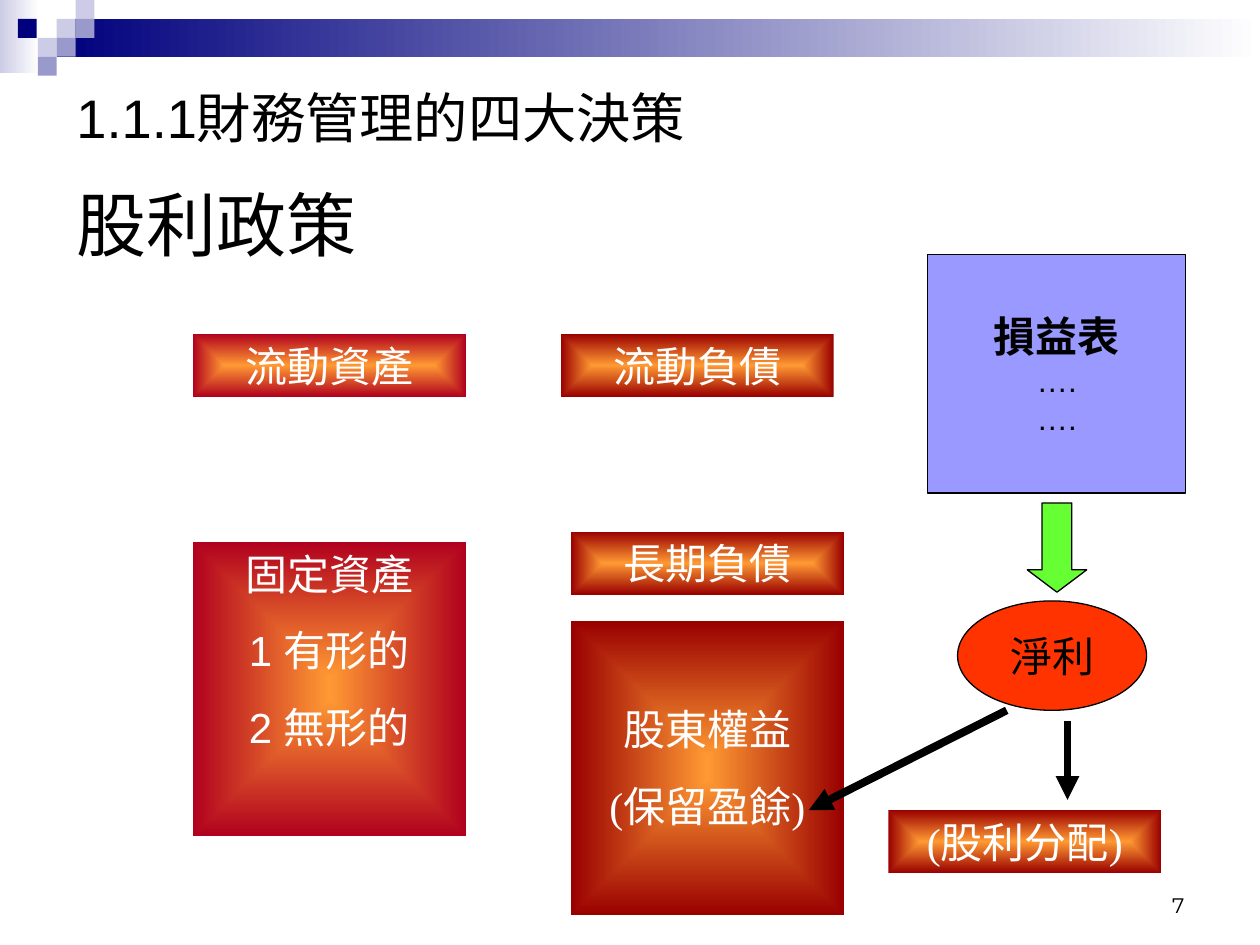
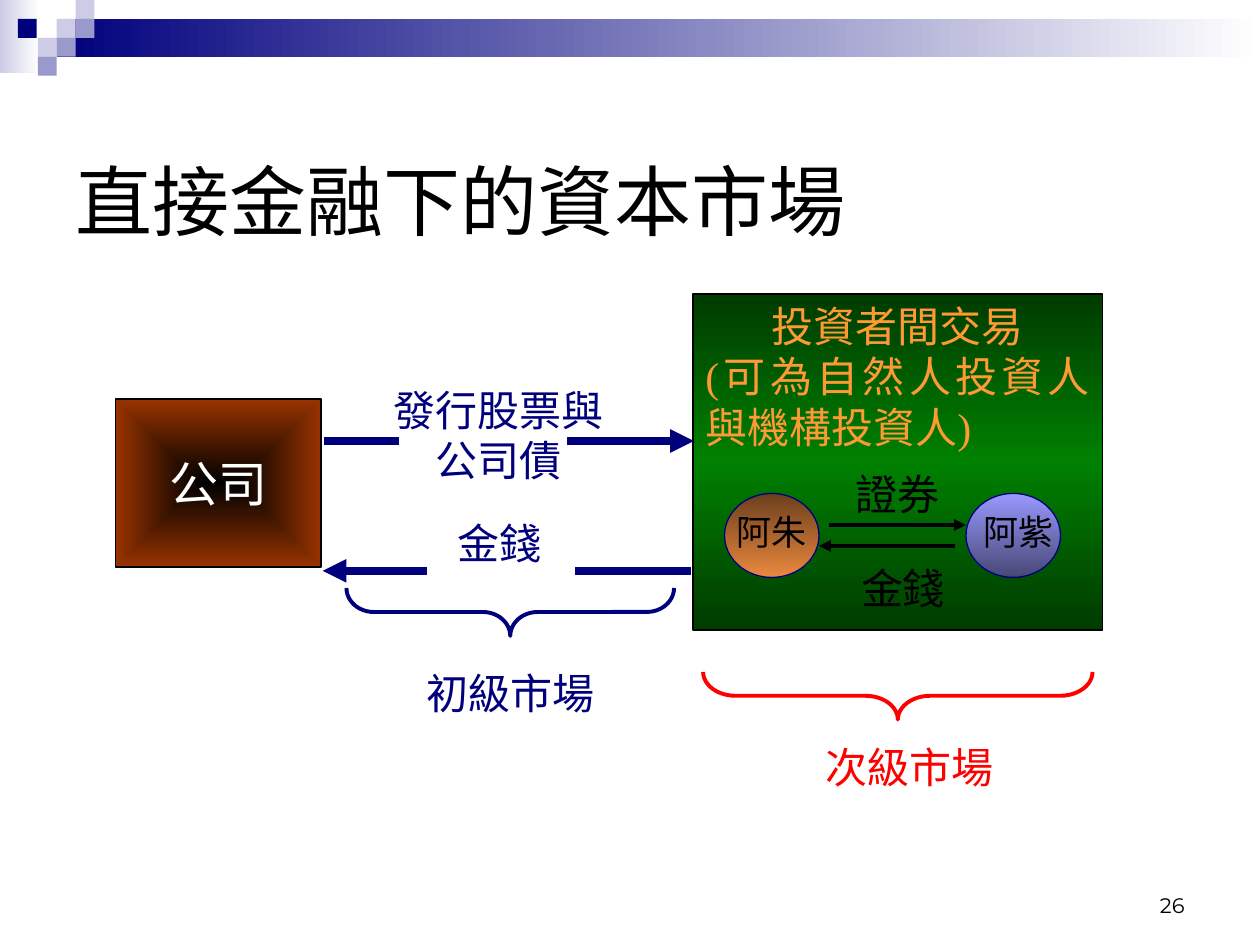
from lxml.etree import SubElement
from pptx import Presentation
from pptx.dml.color import RGBColor
from pptx.enum.shapes import MSO_CONNECTOR, MSO_SHAPE as Preset
from pptx.enum.text import MSO_ANCHOR as Anchor, MSO_AUTO_SIZE, PP_ALIGN as Align
from pptx.oxml.ns import qn
from pptx.util import Pt

BLACK = RGBColor(0x00, 0x00, 0x00)
WHITE = RGBColor(0xFF, 0xFF, 0xFF)
NAVY = RGBColor(0x00, 0x00, 0x7D)
LAVENDER = RGBColor(0xCC, 0xCC, 0xE6)
MID_LAVENDER = RGBColor(0x99, 0x99, 0xCC)
PERIWINKLE = RGBColor(0x99, 0x99, 0xFF)
DARK_PERIWINKLE = RGBColor(0x47, 0x47, 0x76)
ORANGE = RGBColor(0xFF, 0x99, 0x33)
CRIMSON = RGBColor(0xB1, 0x01, 0x1E)
DARK_RED = RGBColor(0x99, 0x00, 0x00)
RUST = RGBColor(0x99, 0x33, 0x00)
LIME = RGBColor(0x66, 0xFF, 0x33)
VERMILION = RGBColor(0xFF, 0x33, 0x00)
RED = RGBColor(0xFF, 0x00, 0x00)
GREEN = RGBColor(0x00, 0x80, 0x00)
DARK_GREEN = RGBColor(0x00, 0x3B, 0x00)
BROWN = RGBColor(0x6C, 0x3F, 0x1D)
TAN = RGBColor(0xEA, 0x88, 0x3E)

SANS, SERIF, NUMBER_FONT = "Arial", "Times New Roman", "Montserrat"


# Shared drawing helpers
def fill_gradient(shape, colors, angle=None):
    """Evenly spaced stops; without an angle they run from the centre outwards."""
    shape.fill.solid()
    properties = shape.element.spPr
    gradient = SubElement(properties, qn("a:gradFill"), rotWithShape="1")
    properties.replace(properties.find(qn("a:solidFill")), gradient)
    stops = SubElement(gradient, qn("a:gsLst"))
    for i, color in enumerate(colors):
        stop = SubElement(stops, qn("a:gs"), pos=str(100000 * i // (len(colors) - 1)))
        SubElement(stop, qn("a:srgbClr"), val=str(color))
    if angle is None:
        centre = SubElement(gradient, qn("a:path"), path="rect")
        SubElement(centre, qn("a:fillToRect"), l="50000", t="50000", r="50000", b="50000")
    else:
        SubElement(gradient, qn("a:lin"), ang=str(angle * 60000), scaled="0")


def add_preset(slide, preset, box, fill=None, angle=None, line=None, width=0.75):
    shape = slide.shapes.add_shape(preset, *map(Pt, box))
    shape.shadow.inherit = False
    if fill is None:
        shape.fill.background()
    elif isinstance(fill, RGBColor):
        shape.fill.solid()
        shape.fill.fore_color.rgb = fill
    else:
        fill_gradient(shape, fill, angle)
    if line is None:
        shape.line.fill.background()
    else:
        shape.line.color.rgb = line
        shape.line.width = Pt(width)
    return shape


def write(shape, lines, size=24, font=SERIF, color=BLACK, align=Align.CENTER,
          anchor=Anchor.TOP, before=0, wrap=True):
    frame = shape.text_frame
    frame.word_wrap = wrap
    frame.auto_size = MSO_AUTO_SIZE.NONE
    frame.vertical_anchor = anchor
    for i, line in enumerate(lines):
        paragraph = frame.add_paragraph() if i else frame.paragraphs[0]
        paragraph.alignment = align
        paragraph.space_before = Pt(before)
        run = paragraph.add_run()
        run.text = line
        run.font.size = Pt(size)
        run.font.name = font
        run.font.color.rgb = color
    return frame


def add_label(slide, box, text, **style):
    return write(slide.shapes.add_textbox(*map(Pt, box)), [text], **style)


def add_line(slide, start, end, color=BLACK, width=4.5, arrow=True):
    line = slide.shapes.add_connector(MSO_CONNECTOR.STRAIGHT, *map(Pt, start + end))
    line.line.color.rgb = color
    line.line.width = Pt(width)
    properties = line.element.spPr
    if arrow:
        SubElement(properties.find(qn("a:ln")), qn("a:tailEnd"), type="triangle")
    SubElement(properties, qn("a:effectLst"))


def add_brace_below(slide, box, color, curve):
    """A brace that lies along the box and points down."""
    left, top, width, height = box
    shift = (width - height) / 2
    brace = add_preset(slide, Preset.LEFT_BRACE,
                       (left + shift, top - shift, height, width), line=color, width=2.25)
    brace.adjustments[0] = curve
    brace.rotation = 270


# Band and mosaic shared through the layout
def add_band_to_layout(slide, layout):
    tile = 10.8
    parts = [add_preset(slide, Preset.RECTANGLE, (0, 0, 22.5, 42), (LAVENDER, WHITE), 0),
             add_preset(slide, Preset.RECTANGLE, (32.4, tile, 687.6, 21.6), (NAVY, WHITE), 0)]
    mosaic = [(32.4, 1, LAVENDER), (43.2, 0, LAVENDER), (43.2, 1, MID_LAVENDER),
              (21.6, 2, LAVENDER), (10.2, 1, NAVY), (32.4, 2, MID_LAVENDER),
              (21.6, 3, MID_LAVENDER)]
    for left, row, color in mosaic:
        parts.append(add_preset(slide, Preset.RECTANGLE, (left, row * tile, tile, tile), color))
    tree = layout.element.cSld.spTree
    for i, part in enumerate(parts):
        part.element.nvSpPr.cNvPr.id = 100 + i
        tree.append(part.element)


def add_title_and_number(slide, box, title, size, number):
    heading = slide.shapes.title
    heading.left, heading.top, heading.width, heading.height = map(Pt, box)
    write(heading, [title], size, SANS, align=Align.LEFT, anchor=Anchor.BOTTOM)
    add_label(slide, (516, 492, 168, 36), number, size=12, font=NUMBER_FONT,
              align=Align.RIGHT, anchor=Anchor.BOTTOM)


# Dividend policy slide
def add_account(slide, left, top, lines, edge=DARK_RED, height=36, font=SERIF):
    account = add_preset(slide, Preset.RECTANGLE, (left, top, 156, height), (ORANGE, edge))
    return write(account, lines, font=font, color=WHITE, before=15)


def add_balance_sheet(slide, left, top):
    add_account(slide, left, top, ["流動資產"], CRIMSON)
    add_account(slide, left, top + 118.8, ["固定資產", "1 有形的", "2 無形的"],
                CRIMSON, 168, SANS)
    add_account(slide, left + 210.2, top, ["流動負債"])
    add_account(slide, left + 216, top + 113, ["長期負債"])
    equity = add_account(slide, left + 216, top + 164.2, ["股東權益", "(保留盈餘)"], height=168)
    equity.margin_top = Pt(47)


def add_profit_flow(slide, left, top):
    centred = dict(font=SANS, anchor=Anchor.MIDDLE, wrap=False)
    statement = add_preset(slide, Preset.RECTANGLE, (left, top, 147.6, 136.4),
                           PERIWINKLE, line=BLACK)
    rows = write(statement, ["損益表", "….", "…."], size=18, **centred)
    heading = rows.paragraphs[0].runs[0].font
    heading.size, heading.bold = Pt(24), True

    down = add_preset(slide, Preset.DOWN_ARROW, (left + 57, top + 142, 34, 51),
                      LIME, line=BLACK)
    down.adjustments[1] = 0.376
    profit = add_preset(slide, Preset.OVAL, (left + 17.2, top + 198, 108, 62.5),
                        VERMILION, line=BLACK)
    write(profit, ["淨利"], **centred)

    # Profit is either retained or paid out
    add_line(slide, (left + 45.3, top + 260.5), (left - 67.8, top + 317.5))
    add_line(slide, (left + 80, top + 266.5), (left + 80, top + 311.7))
    add_account(slide, left - 22.4, top + 317.5, ["(股利分配)"])


def build_dividend_slide(slide):
    add_title_and_number(slide, (36.6, 100, 648, 55.5), "股利政策", 40, "7")
    add_label(slide, (36.6, 43.2, 466, 46.8), "1.1.1財務管理的四大決策", size=31,
              font=SANS, align=Align.LEFT, anchor=Anchor.MIDDLE)
    add_balance_sheet(slide, 110.2, 190.8)
    add_profit_flow(slide, 530, 145.4)


# Capital market slide
def add_company(slide, box):
    company = add_preset(slide, Preset.RECTANGLE, box, (BLACK, RUST), line=BLACK)
    write(company, ["公司"], size=28, color=WHITE, anchor=Anchor.MIDDLE)


def add_secondary_market(slide, left, top):
    market = add_preset(slide, Preset.RECTANGLE, (left, top, 234, 192),
                        (DARK_GREEN, GREEN, DARK_GREEN), 90, BLACK)
    text = write(market, ["投資者間交易", "(可為自然人投資人與機構投資人)"], color=ORANGE)
    text.paragraphs[1].alignment = Align.JUSTIFY

    add_brace_below(slide, (left + 5.8, top + 216, 222.5, 27.2), RED, 0.68)
    add_label(slide, (left + 30.2, top + 252, 187.2, 60), "次級市場", color=RED)

    # Exchange of securities and money between two investors
    add_line(slide, (left + 150, top + 144), (left + 72, top + 144), width=2.25)
    add_label(slide, (left + 72, top + 150, 96, 36), "金錢", before=15)
    add_line(slide, (left + 78, top + 132), (left + 156, top + 132), width=2.25)
    add_label(slide, (left + 60, top + 96, 114, 36), "證券", before=15)

    investors = [("阿朱", 18, 66, (BROWN, TAN), Align.LEFT),
                 ("阿紫", 156, 60, (PERIWINKLE, DARK_PERIWINKLE), Align.CENTER)]
    for name, x, width, colors, align in investors:
        add_preset(slide, Preset.OVAL, (left + x, top + 114, 54, 48), colors, 90, NAVY)
        add_label(slide, (left + x, top + 120, width, 31.7), name,
                  size=20, align=align, before=12.5)


def add_primary_market(slide, left, top):
    issue_y, money_y = top + 36, top + 110.2
    add_label(slide, (left + 32, top, 138, 68.4), "發行股票與公司債", color=NAVY)
    add_line(slide, (left + 140, issue_y), (left + 212.5, issue_y), NAVY)
    add_line(slide, (left + 1, issue_y), (left + 44.2, issue_y), NAVY, arrow=False)

    add_label(slide, (left + 54.4, top + 76.4, 93.6, 41), "金錢", color=NAVY)
    add_line(slide, (left + 60, money_y), (left + 0.4, money_y), NAVY)
    add_line(slide, (left + 210.6, money_y), (left + 144.4, money_y), NAVY, arrow=False)

    add_brace_below(slide, (left + 14, top + 120, 187.2, 27.4), NAVY, 0.57)
    add_label(slide, (left + 14, top + 162, 187.2, 41), "初級市場", color=NAVY)


def build_market_slide(slide):
    add_title_and_number(slide, (36, 36, 648, 108), "直接金融下的資本市場", 44, "26")
    add_company(slide, (66, 228, 117.5, 96))
    add_secondary_market(slide, 396, 168)
    add_primary_market(slide, 184, 216)


def main():
    deck = Presentation()
    deck.slide_width, deck.slide_height = Pt(720), Pt(540)
    layout = deck.slide_layouts[5]
    dividend, market = (deck.slides.add_slide(layout) for _ in range(2))
    add_band_to_layout(dividend, layout)
    build_dividend_slide(dividend)
    build_market_slide(market)
    deck.save("out.pptx")


if __name__ == "__main__":
    main()
